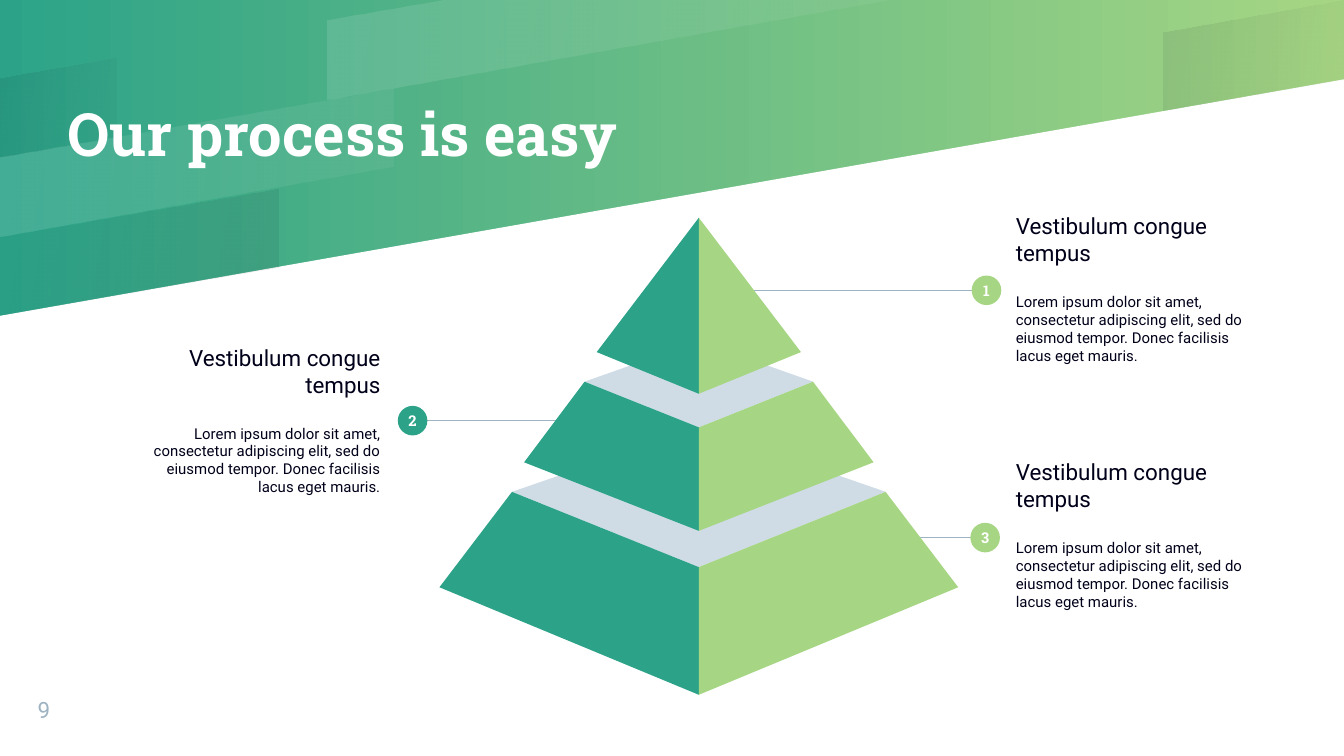
from lxml import etree
from pptx import Presentation
from pptx.dml.color import RGBColor
from pptx.enum.shapes import MSO_CONNECTOR, MSO_SHAPE
from pptx.enum.text import MSO_ANCHOR, PP_ALIGN
from pptx.oxml.ns import qn
from pptx.util import Cm, Pt

COLORS = {
    "teal": "2CA388", "lime": "A6D683", "lid": "CFDCE6", "rule": "9EB3C2",
    "ink": "00001A", "white": "FFFFFF",
}
HEADING = "Vestibulum congue tempus"
BODY = ("Lorem ipsum dolor sit amet, consectetur adipiscing elit, sed do "
        "eiusmod tempor. Donec facilisis lacus eget mauris.")
AXIS = 5.2  # vertical centre line of the pyramid

# Header bands: tint, opacity at start and end, corners
BANDS = [
    ("white", 12, 5, [(3.32, 0), (2.44, 0.15), (2.44, 0.74), (6.65, 0)]),
    ("ink", 8, 2, [(0, 0.58), (0, 1.17), (0.87, 1.02), (0.87, 0.43)]),
    ("ink", 2, 8, [(0, 1.76), (0, 2.35), (2.07, 1.99), (2.07, 1.4)]),
    ("ink", 8, 2, [(10, 0), (8.66, 0.24), (8.66, 0.82), (10, 0.59)]),
    ("white", 12, 5, [(0, 1.17), (0, 1.76), (2.93, 1.24), (2.93, 0.66)]),
]
# Tiers: half width and y of shoulder, y of front, half width and y of base,
# y of tip, y of the lid's back corner
TIERS = [
    (1.39, 3.66, 4.22, 1.93, 4.37, 5.17, 3.18),
    (0.85, 2.84, 3.18, 1.3, 3.44, 3.95, 2.54),
    (0, 1.62, 1.62, 0.76, 2.62, 2.93, None),
]
# Steps: number, colour, text left and top, badge x and y, line end x, alignment
STEPS = [
    (3, "lime", 7.46, 3.22, 7.33, 4, 6.8, PP_ALIGN.LEFT),
    (2, "teal", 0.89, 2.37, 3.07, 3.13, 4.17, PP_ALIGN.RIGHT),
    (1, "lime", 7.46, 1.39, 7.34, 2.16, 5.56, PP_ALIGN.LEFT),
]


def cm(inches):
    return Cm(inches * 2.54)


def rgb(name):
    return RGBColor.from_string(COLORS[name])


def set_gradient(fill, first, last, angle):
    fill.gradient()
    fill.gradient_angle = angle
    for stop, name in zip(fill.gradient_stops, (first, last)):
        stop.color.rgb = rgb(name)


def add_polygon(s, points, color):
    pts = [(cm(x), cm(y)) for x, y in points]
    builder = s.shapes.build_freeform(*pts[0])
    builder.add_line_segments(pts[1:], close=True)
    sp = builder.convert_to_shape()
    sp.shadow.inherit = False
    sp.line.fill.background()
    sp.fill.solid()
    sp.fill.fore_color.rgb = rgb(color)
    return sp


def add_band(s, color, start, end, points):
    sp = add_polygon(s, points, color)
    set_gradient(sp.fill, color, color, 350)
    for clr, opacity in zip(sp.element.iter(qn("a:srgbClr")), (start, end)):
        etree.SubElement(clr, qn("a:alpha"), val=str(opacity * 1000))


def write(p, text, size=12, font="Roboto", color="ink", bold=False,
          align=PP_ALIGN.LEFT, before=0):
    p.alignment = align
    p.space_before = Pt(before)
    r = p.add_run()
    r.text = text
    r.font.size, r.font.name, r.font.bold = Pt(size), font, bold
    r.font.color.rgb = rgb(color)
    return r


def set_frame(tf, anchor, inset=0):
    tf.word_wrap = True
    tf.vertical_anchor = anchor
    tf.margin_left = tf.margin_right = tf.margin_top = tf.margin_bottom = cm(inset)
    return tf


def add_box(s, x, y, w, h, anchor=MSO_ANCHOR.MIDDLE, inset=0):
    box = s.shapes.add_textbox(cm(x), cm(y), cm(w), cm(h))
    return set_frame(box.text_frame, anchor, inset)


def add_text_shadow(r):
    effects = etree.Element(qn("a:effectLst"))
    shadow = etree.SubElement(effects, qn("a:outerShdw"), blurRad="28575",
                              dist="19050", dir="3000000", algn="bl", rotWithShape="0")
    clr = etree.SubElement(shadow, qn("a:srgbClr"), val=COLORS["ink"])
    etree.SubElement(clr, qn("a:alpha"), val="30000")
    r.font.fill  # effects follow the fill in the run properties
    next(r.font.color and r._r.iter(qn("a:solidFill"))).addnext(effects)


def add_rule(s, x1, x2, y):
    line = s.shapes.add_connector(MSO_CONNECTOR.STRAIGHT, cm(x1), cm(y), cm(x2), cm(y))
    line.line.color.rgb = rgb("rule")
    line.line.width = Pt(0.75)
    etree.SubElement(line.element.spPr, qn("a:effectLst"))


def add_badge(s, x, y, number, color, size=0.22):
    sp = s.shapes.add_shape(MSO_SHAPE.OVAL, cm(x - size / 2), cm(y - size / 2),
                            cm(size), cm(size))
    sp.shadow.inherit = False
    sp.line.fill.background()
    sp.fill.solid()
    sp.fill.fore_color.rgb = rgb(color)
    tf = set_frame(sp.text_frame, MSO_ANCHOR.MIDDLE)
    tf.word_wrap = False
    write(tf.paragraphs[0], str(number), size=8, font="Roboto Slab",
          color="white", bold=True, align=PP_ALIGN.CENTER)


def add_step(s, number, color, left, top, x, y, end, align):
    add_rule(s, end, x, y)
    tf = add_box(s, left, top, 2.04, 1.51, inset=0.1)
    write(tf.paragraphs[0], HEADING, align=align)
    write(tf.add_paragraph(), BODY, size=8, align=align, before=14)
    add_badge(s, x, y, number, color)


def add_tier(s, half_top, shoulder, front, half_base, base, tip, back):
    if back is not None:
        add_polygon(s, [(AXIS - half_top, shoulder), (AXIS, front),
                        (AXIS + half_top, shoulder), (AXIS, back)], "lid")
    for side, color in ((-1, "teal"), (1, "lime")):
        add_polygon(s, [(AXIS + side * half_top, shoulder),
                        (AXIS + side * half_base, base),
                        (AXIS, tip), (AXIS, front)], color)


def main():
    prs = Presentation()
    prs.slide_width, prs.slide_height = cm(10), cm(5.625)
    s = prs.slides.add_slide(prs.slide_layouts[6])

    # Background and header
    set_gradient(s.background.fill, "teal", "lime", 0)
    add_polygon(s, [(0, 5.625), (10, 5.625), (10, 0.59), (0, 2.35)], "white")
    for band in BANDS:
        add_band(s, *band)

    # Title and page number
    tf = add_box(s, 0.5, 0, 6, 1.98)
    add_text_shadow(write(tf.paragraphs[0], "Our process is easy", size=32,
                          font="Roboto Slab", color="white", bold=True))
    tf = add_box(s, 0.28, 5.11, 0.53, 0.27, MSO_ANCHOR.BOTTOM)
    write(tf.paragraphs[0], "9", color="rule")

    # Steps, then the pyramid over their lines
    for step in STEPS:
        add_step(s, *step)
    for tier in TIERS:
        add_tier(s, *tier)

    prs.save("out.pptx")


main()
